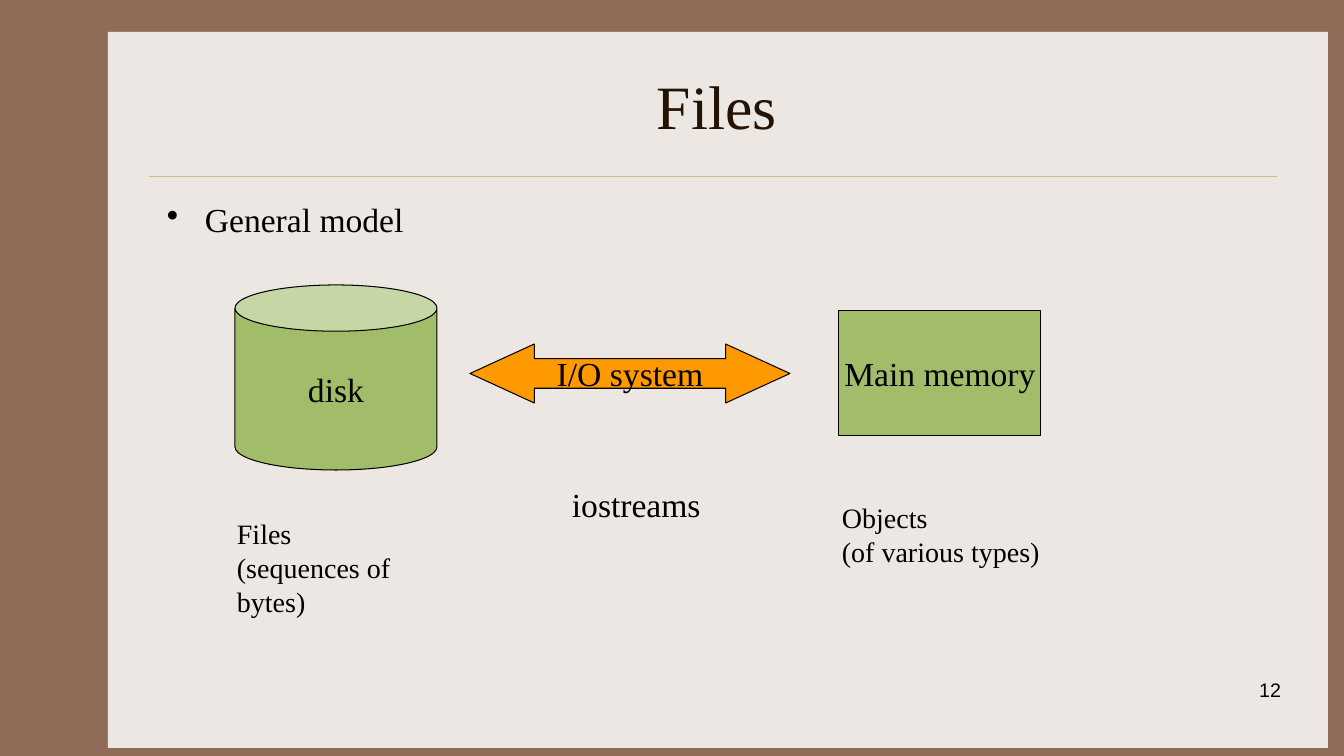
from dataclasses import dataclass

from lxml import etree
from pptx import Presentation
from pptx.dml.color import RGBColor
from pptx.enum.shapes import MSO_CONNECTOR, MSO_SHAPE
from pptx.enum.text import MSO_ANCHOR, PP_ALIGN
from pptx.oxml.ns import qn
from pptx.util import Pt

RECTANGLE, CAN = MSO_SHAPE.RECTANGLE, MSO_SHAPE.CAN
DOUBLE_ARROW = MSO_SHAPE.LEFT_RIGHT_ARROW
STRAIGHT = MSO_CONNECTOR.STRAIGHT
TOP, MIDDLE = MSO_ANCHOR.TOP, MSO_ANCHOR.MIDDLE
LEFT, CENTER, RIGHT = PP_ALIGN.LEFT, PP_ALIGN.CENTER, PP_ALIGN.RIGHT
EMU_PER_INCH, PX_PER_INCH = 914400, 100.8


@dataclass(frozen=True)
class Theme:
    """Colours, fonts and type sizes of the slide."""
    frame: str = "906D58"
    paper: str = "EDE7E3"
    rule: str = "CBBD83"
    title: str = "221304"
    ink: str = "000000"
    storage: str = "A1BD69"
    transfer: str = "FF9900"
    serif: str = "Times New Roman"
    sans: str = "Arial"
    title_size: int = 44
    body_size: int = 24
    caption_size: int = 20
    number_size: int = 14


@dataclass(frozen=True)
class Box:
    """A rectangle in px."""
    x: int
    y: int
    w: int
    h: int

    def inner(self, dx, dy, w, h):
        """Return a box placed relative to this one."""
        return Box(self.x + dx, self.y + dy, w, h)

    def emu(self):
        """Return left, top, width and height in EMU."""
        return [px(n) for n in (self.x, self.y, self.w, self.h)]


THEME = Theme()


def px(length):
    """Turn px into EMU."""
    return round(length * EMU_PER_INCH / PX_PER_INCH)


def rgb(code):
    """Turn a hex code into a colour."""
    return RGBColor.from_string(code)


def write(frame, lines, size, align=LEFT, anchor=TOP, font=THEME.serif, color=THEME.ink):
    """Fill a text frame and format its runs."""
    frame.text = lines
    frame.vertical_anchor = anchor
    for paragraph in frame.paragraphs:
        paragraph.alignment = align
        for run in paragraph.runs:
            run.font.name = font
            run.font.size = Pt(size)
            run.font.color.rgb = rgb(color)


def add_text(slide, box, lines, size, **style):
    """Add a wrapping text box."""
    frame = slide.shapes.add_textbox(*box.emu()).text_frame
    frame.word_wrap = True
    write(frame, lines, size, **style)
    return frame


def add_node(slide, kind, box, fill, label="", outlined=True):
    """Add a filled shape with a centred label."""
    node = slide.shapes.add_shape(kind, *box.emu())
    node.shadow.inherit = False
    node.fill.solid()
    node.fill.fore_color.rgb = rgb(fill)
    if outlined:
        node.line.color.rgb = rgb(THEME.ink)
        node.line.width = Pt(0.75)
    else:
        node.line.fill.background()
    if label:
        write(node.text_frame, label, THEME.body_size, CENTER, MIDDLE)
        node.text_frame.word_wrap = False
    return node


def add_backdrop(slide, box):
    """Paint the frame, the paper and the rule under the title."""
    slide.background.fill.solid()
    slide.background.fill.fore_color.rgb = rgb(THEME.frame)
    add_node(slide, RECTANGLE, box, THEME.paper, outlined=False)
    left, right, y = box.x + 41, box.x + 1169, box.y + 144
    rule = slide.shapes.add_connector(STRAIGHT, px(left), px(y), px(right), px(y))
    rule.line.color.rgb = rgb(THEME.rule)
    rule.line.width = Pt(0.25)
    etree.SubElement(rule._element.spPr, qn("a:effectLst"))


def add_heading(slide, box):
    """Add the title and the bulleted line below it."""
    add_text(slide, box.inner(0, 0, box.w, 126), "Files", THEME.title_size,
             align=CENTER, anchor=MIDDLE, color=THEME.title)
    model = add_text(slide, box.inner(0, 152, box.w, 50), "General model", THEME.body_size)
    properties = model.paragraphs[0]._p.get_or_add_pPr()
    properties.set("marL", str(px(38)))
    properties.set("indent", str(px(-38)))
    etree.SubElement(properties, qn("a:buChar")).set("char", "•")


def add_model(slide, box):
    """Draw disk, I/O system and main memory with their captions."""
    disk = add_node(slide, CAN, box.inner(0, 0, 202, 185), THEME.storage, "disk")
    disk.adjustments[0] = 0.25
    transfer = add_node(slide, DOUBLE_ARROW, box.inner(235, 59, 320, 59),
                        THEME.transfer, "I/O system")
    transfer.adjustments[0] = 0.5
    transfer.adjustments[1] = 1.09
    add_node(slide, RECTANGLE, box.inner(604, 25, 202, 126), THEME.storage, "Main memory")
    captions = [
        (-8, 227, 236, 112, "Files\n(sequences of bytes)", THEME.caption_size),
        (327, 194, 160, 50, "iostreams", THEME.body_size),
        (597, 211, 294, 78, "Objects\v(of various types)", THEME.caption_size),
    ]
    for dx, dy, w, h, caption, size in captions:
        add_text(slide, box.inner(dx, dy, w, h), caption, size)


def add_number(slide, box):
    """Add the slide number."""
    add_text(slide, box, "12", THEME.number_size, align=RIGHT, font=THEME.sans)


def main():
    """Build and save the slide."""
    deck = Presentation()
    deck.slide_width, deck.slide_height = px(1344), px(756)
    slide = deck.slides.add_slide(deck.slide_layouts[6])
    add_backdrop(slide, Box(108, 32, 1220, 716))
    add_heading(slide, Box(157, 42, 1120, 202))
    add_number(slide, Box(1011, 673, 280, 50))
    add_model(slide, Box(235, 285, 891, 339))
    deck.save("out.pptx")


if __name__ == "__main__":
    main()
